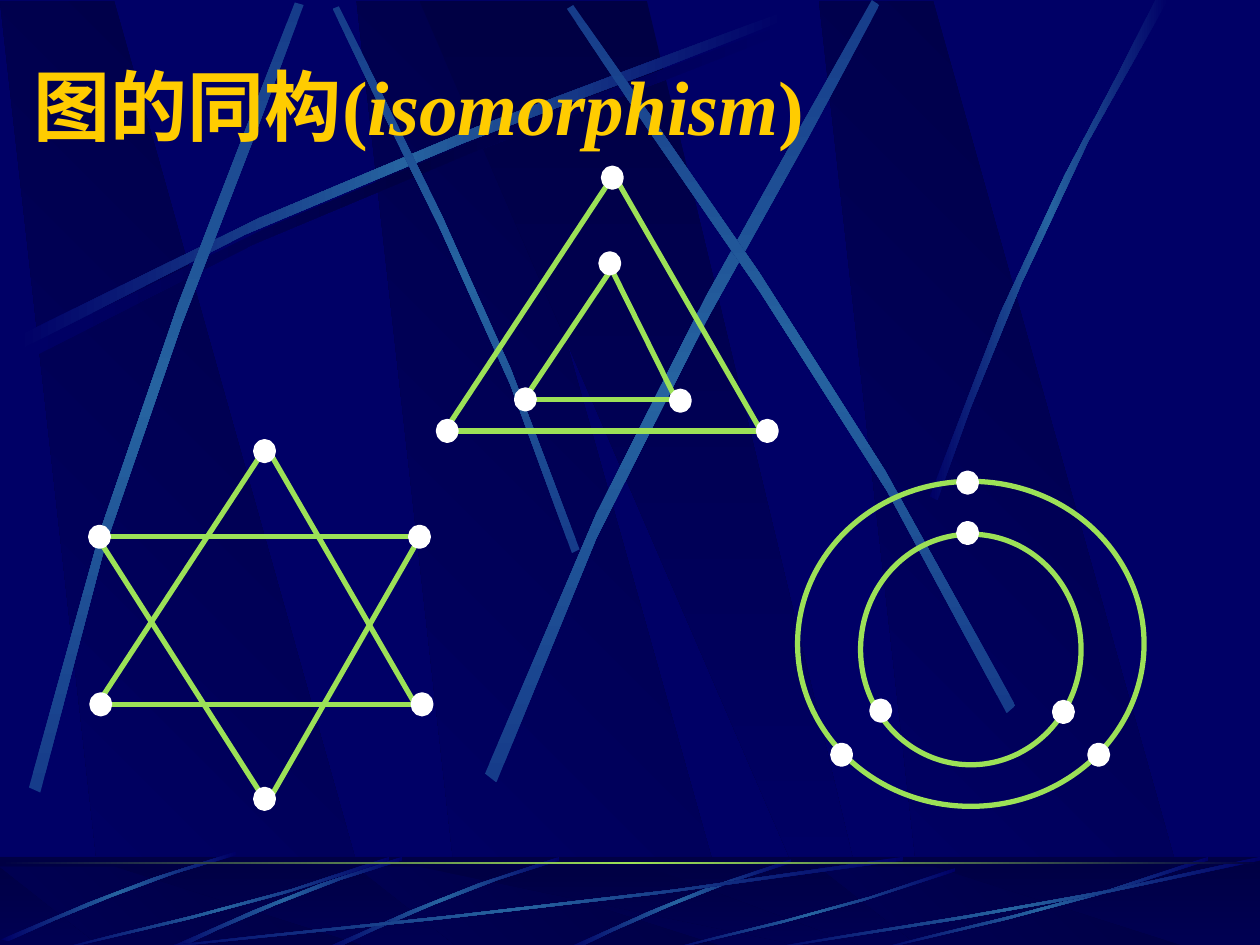
"""Build a slide on graph isomorphism: three drawings of one graph over a ribbon backdrop."""
from dataclasses import dataclass

from lxml import etree
from pptx import Presentation
from pptx import util as u
from pptx.dml import color
from pptx.enum import shapes, text
from pptx.oxml import ns

Point = tuple[float, float]
Box = tuple[float, float, float, float]
Stops = tuple[str, ...]


@dataclass(frozen=True)
class Theme:
    """Colours, fonts and sizes of the slide."""
    night: str = "000066"
    shade: str = "000044"
    beam: str = "2663A0"
    dim_beam: str = "163C8A"
    edge: str = "9CE157"
    vertex: str = "FFFFFF"
    title: str = "FFCC00"
    cjk_font: str = "Noto Sans CJK SC"
    latin_font: str = "Times New Roman"
    title_size: int = 44
    stroke: int = 3


@dataclass(frozen=True)
class Ribbon:
    """A band between two cubic curves, each given by four points."""
    out: tuple[Point, ...]
    back: tuple[Point, ...]

    def outline(self) -> list[Point]:
        """Return the closed outline as sampled points."""
        return sample(self.out) + sample(self.back)


@dataclass(frozen=True)
class Graph:
    """Six vertices, joined by straight edges or by rings."""
    vertices: tuple[Point, ...]
    edges: tuple[Box, ...] = ()
    rings: tuple[Box, ...] = ()


THEME = Theme()
UNIT: Box = (0, 0, 1, 1)
SHADE: Stops = (THEME.shade, THEME.night)
GLOW: Stops = (THEME.night, THEME.beam, THEME.night)
SOFT_GLOW: Stops = (THEME.dim_beam, THEME.beam, THEME.dim_beam)
DARK_BAND: Stops = (THEME.night, THEME.shade, THEME.night)
HORIZON: Stops = (THEME.shade, THEME.edge, THEME.shade)

PANEL = [(0.28, 1), (1, 1), (0.3, 0), (0, 0)]
WEDGE = [(0, 0), (0.9, 1), (1, 1), (0.5, 0)]
PANEL_LEFTS = (2.83, 0, 6.5)

ARC = Ribbon(((0, 2.57), (2.64, 1.16), (5.04, 0.41), (6.06, 0)),
             ((6.09, 0.06), (5.08, 0.51), (2.34, 1.33), (0.03, 2.67)))
CROSSING_BEAMS = (
    Ribbon(((4.6, 4.36), (3.91, 2.34), (3.02, 0.77), (2.69, 0.05)),
           ((2.64, 0.07), (2.95, 0.79), (3.98, 2.58), (4.54, 4.39))),
    Ribbon(((0.23, 6.25), (0.93, 3.34), (1.97, 1.05), (2.34, 0.02)),
           ((2.41, 0.04), (2.07, 1.09), (0.86, 3.68), (0.32, 6.29))),
    Ribbon(((3.85, 6.14), (4.98, 3.2), (6.38, 1.02), (6.92, 0)),
           ((6.98, 0.04), (6.49, 1.08), (4.86, 3.55), (3.94, 6.21))),
    Ribbon(((8.06, 5.6), (6.7, 2.93), (5.16, 0.95), (4.55, 0.04)),
           ((4.5, 0.07), (5.07, 1.01), (6.85, 3.25), (7.99, 5.66))),
)
RIGHT_BEAM = Ribbon(((7.38, 3.94), (8.14, 1.73), (8.88, 0.66), (9.17, 0)),
                    ((9.27, 0), (8.36, 1.45), (7.69, 3.22), (7.44, 3.97)))
BLADE = Ribbon(((1, 0), (0.5, 0.37), (0.16, 0.82), (0, 0.98)),
               ((0.03, 1), (0.23, 0.75), (0.68, 0.25), (1, 0.04)))
SWEEP = Ribbon(((1, 0.04), (0.57, 0.57), (0.17, 0.85), (0, 1)),
               ((0, 0.99), (0.17, 0.81), (0.62, 0.51), (1, 0)))
BLADE_BOXES: tuple[Box, ...] = ((4.48, 6.82, 1.8, 0.73), (2.56, 6.8, 1.88, 0.75),
                                (1.31, 6.8, 1.88, 0.75), (0.01, 6.76, 1.86, 0.71))
SWEEP_BOXES: tuple[Box, ...] = ((1, 6.8, 6.17, 0.75), (0.42, 6.8, 2.67, 0.75),
                                (5.27, 6.89, 2.31, 0.66), (6.92, 6.8, 2.67, 0.75),
                                (6, 6.8, 4, 0.75))
FLOOR: Box = (0, 6.8, 10, 0.75)

STAR = Graph(
    vertices=((3.33, 4.26), (0.79, 4.26), (3.35, 5.59), (0.8, 5.59), (2.1, 3.58), (2.1, 6.34)),
    edges=((2.09, 6.33, 0.79, 4.29), (3.29, 5.58, 2.14, 3.59), (3.34, 4.25, 2.1, 6.41),
           (0.82, 4.26, 3.34, 4.26), (0.78, 5.58, 2.09, 3.58), (0.83, 5.59, 3.36, 5.59)))
NESTED_TRIANGLES = Graph(
    vertices=((5.4, 3.18), (4.84, 2.09), (6.09, 3.42), (3.55, 3.42), (4.86, 1.41), (4.17, 3.17)),
    edges=((4.16, 3.17, 4.83, 2.17), (6.04, 3.42, 4.89, 1.42), (4.83, 2.09, 5.41, 3.26),
           (4.16, 3.17, 5.41, 3.17), (3.53, 3.42, 4.85, 1.42), (3.58, 3.42, 6.11, 3.42)))
CONCENTRIC_RINGS = Graph(
    vertices=((8.44, 5.65), (7.68, 4.23), (8.72, 5.99), (6.68, 5.99), (7.68, 3.83), (6.99, 5.64)),
    rings=((6.83, 4.24, 1.75, 1.83), (6.33, 3.82, 2.75, 2.58)))


def grid(*units: float) -> list[u.Length]:
    """Convert grid units of 2.54 cm to lengths."""
    return [u.Cm(2.54 * unit) for unit in units]


def rgb(code: str) -> color.RGBColor:
    """Return the colour of a hex code."""
    return color.RGBColor.from_string(code)


def sample(curve: tuple[Point, ...], steps: int = 4) -> list[Point]:
    """Return evenly spaced points on a cubic Bézier curve."""
    def at(t: float, axis: int) -> float:
        weights = ((1 - t) ** 3, 3 * t * (1 - t) ** 2, 3 * t * t * (1 - t), t ** 3)
        return sum(w * point[axis] for w, point in zip(weights, curve))
    return [(at(i / steps, 0), at(i / steps, 1)) for i in range(steps + 1)]


def paint_gradient(shape, stops: Stops, angle: int) -> None:
    """Fill a borderless shape with evenly spread stops, angle clockwise."""
    shape.shadow.inherit = False
    shape.line.fill.background()
    shape.fill.gradient()
    shape.fill.gradient_angle = 360 - angle
    stop_list = shape.element.spPr.find(".//" + ns.qn("a:gsLst"))
    for old in list(stop_list):
        stop_list.remove(old)
    for i, code in enumerate(stops):
        position = str(round(100000 * i / (len(stops) - 1)))
        stop = etree.SubElement(stop_list, ns.qn("a:gs"), pos=position)
        etree.SubElement(stop, ns.qn("a:srgbClr"), val=code)


def draw_outline(canvas, outline: list[Point], box: Box, stops: Stops, angle: int) -> None:
    """Draw a closed outline scaled into a box."""
    left, top, width, height = box
    points = [tuple(grid(left + x * width, top + y * height)) for x, y in outline]
    builder = canvas.build_freeform(*points[0], scale=1.0)
    builder.add_line_segments(points[1:], close=True)
    paint_gradient(builder.convert_to_shape(), stops, angle)


def draw_bar(canvas, box: Box, stops: Stops, angle: int):
    """Draw a gradient rectangle and return it."""
    bar = canvas.add_shape(shapes.MSO_SHAPE.RECTANGLE, *grid(*box))
    paint_gradient(bar, stops, angle)
    return bar


def draw_panels(canvas, top: float, height: float) -> None:
    """Draw the slanted panels and the wedge between them."""
    for left in PANEL_LEFTS:
        draw_outline(canvas, PANEL, (left, top, 3.02, height), SHADE, 135)
    draw_outline(canvas, WEDGE, (3.33, top, 3.61, height), SHADE, 90)


def draw_backdrop(canvas) -> None:
    """Draw panels, beams and the floor below the horizon."""
    draw_panels(canvas, 0.01, 7.52)
    draw_outline(canvas, ARC.outline(), (0.2, 0.18, 1, 1), DARK_BAND, 180)
    draw_outline(canvas, ARC.outline(), (0.14, 0.1, 1, 1), GLOW, 180)
    for beam in CROSSING_BEAMS:
        draw_outline(canvas, beam.outline(), UNIT, SOFT_GLOW, 90)
    draw_outline(canvas, RIGHT_BEAM.outline(), UNIT, GLOW, 180)
    draw_bar(canvas, FLOOR, SHADE, 90)
    draw_panels(canvas, 6.88, 0.67)
    veil = draw_bar(canvas, FLOOR, SHADE, 90)
    veil.fill.solid()
    veil.fill.fore_color.rgb = rgb(THEME.shade)
    tint = veil.element.spPr.find(".//" + ns.qn("a:srgbClr"))
    etree.SubElement(tint, ns.qn("a:alpha"), val="50000")
    for ribbon, boxes in ((BLADE, BLADE_BOXES), (SWEEP, SWEEP_BOXES)):
        for box in boxes:
            draw_outline(canvas, ribbon.outline(), box, GLOW, 180)
    draw_bar(canvas, (0, 6.84, 10, 0.02), HORIZON, 180)


def draw_title(canvas) -> None:
    """Write the title in its mixed scripts."""
    title = canvas.add_textbox(*grid(0.17, 0.41, 8.5, 0.84)).text_frame
    title.word_wrap = True
    title.vertical_anchor = text.MSO_ANCHOR.MIDDLE
    for words, typeface, italic in (("图的同构", THEME.cjk_font, False), ("(", THEME.latin_font, False),
                                    ("isomorphism", THEME.latin_font, True), (")", THEME.latin_font, False)):
        part = title.paragraphs[0].add_run()
        part.text = words
        part.font.size, part.font.bold, part.font.italic = u.Pt(THEME.title_size), True, italic
        part.font.color.rgb = rgb(THEME.title)
        part.font.name = typeface
        etree.SubElement(part.font._element, ns.qn("a:ea"), typeface=THEME.cjk_font)


def stroke(shape, code: str) -> None:
    """Give a shape or connector the common line weight."""
    shape.line.color.rgb = rgb(code)
    shape.line.width = u.Pt(THEME.stroke)


def draw_graph(canvas, graph: Graph) -> None:
    """Draw the edges or rings of a graph, then its vertices."""
    for box in graph.rings:
        ring = canvas.add_shape(shapes.MSO_SHAPE.OVAL, *grid(*box))
        ring.shadow.inherit = False
        ring.fill.background()
        stroke(ring, THEME.edge)
    for ends in graph.edges:
        edge = canvas.add_connector(shapes.MSO_CONNECTOR.STRAIGHT, *grid(*ends))
        stroke(edge, THEME.edge)
        etree.SubElement(edge.element.spPr, ns.qn("a:effectLst"))
    for x, y in graph.vertices:
        vertex = canvas.add_shape(shapes.MSO_SHAPE.OVAL, *grid(x - 0.07, y - 0.075, 0.14, 0.15))
        vertex.shadow.inherit = False
        vertex.fill.solid()
        vertex.fill.fore_color.rgb = rgb(THEME.vertex)
        stroke(vertex, THEME.vertex)


def main() -> None:
    """Build and save the slide."""
    deck = Presentation()
    deck.slide_width, deck.slide_height = grid(10, 7.5)
    slide = deck.slides.add_slide(deck.slide_layouts[6])
    slide.background.fill.solid()
    slide.background.fill.fore_color.rgb = rgb(THEME.night)
    draw_backdrop(slide.shapes.add_group_shape().shapes)
    draw_title(slide.shapes)
    for graph in (STAR, NESTED_TRIANGLES, CONCENTRIC_RINGS):
        draw_graph(slide.shapes.add_group_shape().shapes, graph)
    deck.save("out.pptx")


if __name__ == "__main__":
    main()
